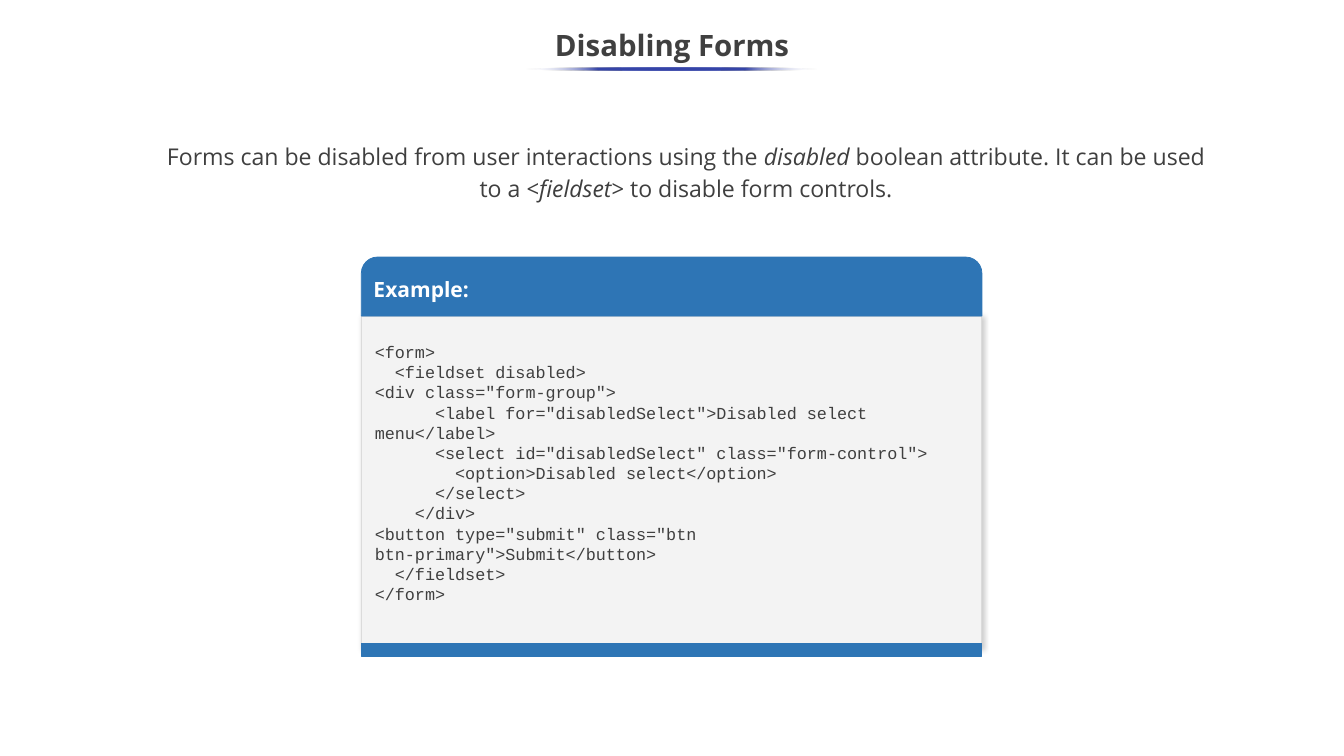
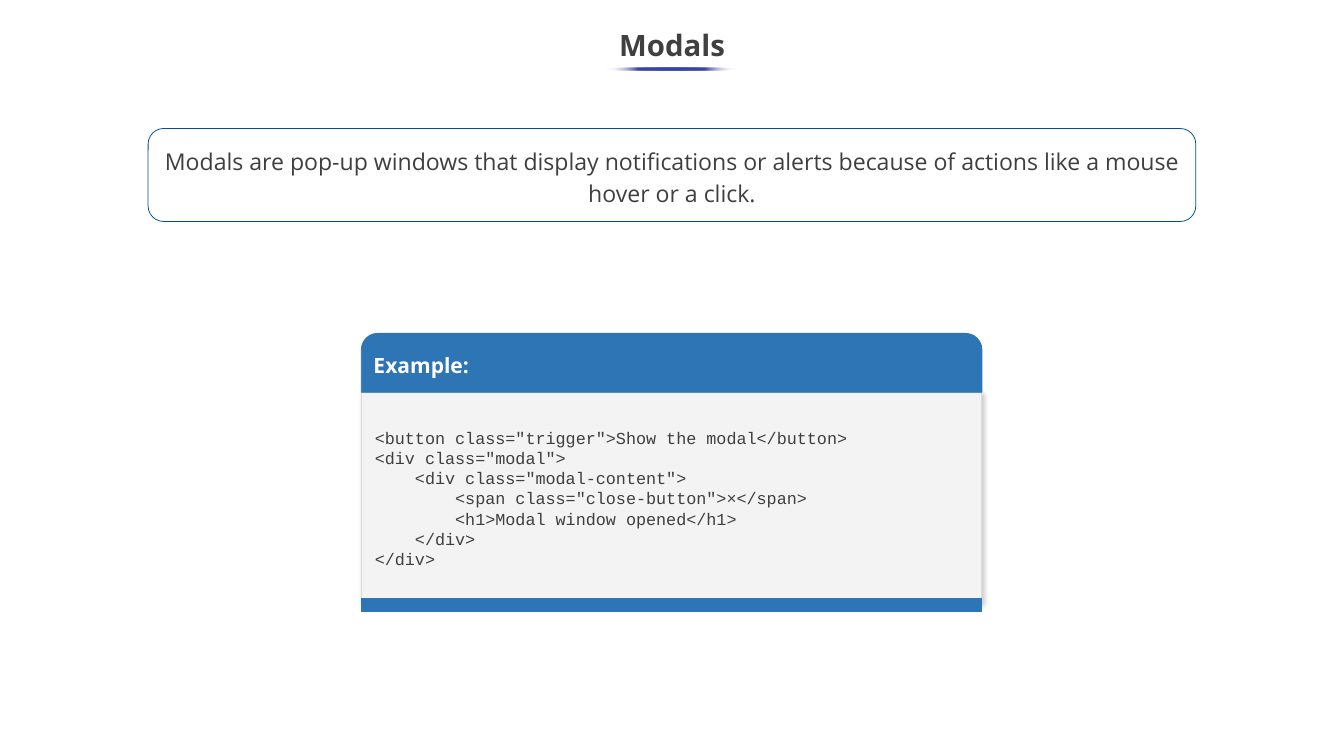
import pptx
import pptx.util
import pptx.dml.color
import pptx.enum.shapes
import pptx.enum.text
import pptx.oxml
import pptx.oxml.ns

RGBColor = pptx.dml.color.RGBColor
MSO_SHAPE = pptx.enum.shapes.MSO_SHAPE
PP_ALIGN = pptx.enum.text.PP_ALIGN
ANCHOR = pptx.enum.text.MSO_ANCHOR

PX = 9144  # 100 px to the inch
SLIDE_W, SLIDE_H = 1778, 1000
PANEL_X, PANEL_W, HEADER_H, FOOTER_H = 478, 821, 78, 17

TITLE_GRAY = RGBColor(0x40, 0x40, 0x40)
TEXT_GRAY = RGBColor(0x3F, 0x3F, 0x3F)
WHITE = RGBColor(0xFF, 0xFF, 0xFF)
BLUE = RGBColor(0x2E, 0x75, 0xB5)
OUTLINE_BLUE = RGBColor(0x02, 0x4F, 0x93)
RULE_BLUE = RGBColor(0x36, 0x45, 0xA9)
CODE_FILL = RGBColor(0xF3, 0xF3, 0xF3)
CODE_LINE = RGBColor(0xDB, 0xDB, 0xDB)
SANS, MONO = "Open Sans", "Courier New"

FORM_CODE = """<form>
  <fieldset disabled>
<div class="form-group">
      <label for="disabledSelect">Disabled select menu</label>
      <select id="disabledSelect" class="form-control">
        <option>Disabled select</option>
      </select>
    </div>
<button type="submit" class="btn btn-primary">Submit</button>
  </fieldset>
</form>"""

MODAL_CODE = """<button class="trigger">Show the modal</button>
<div class="modal">
    <div class="modal-content">
        <span class="close-button">×</span>
        <h1>Modal window opened</h1>
    </div>
</div>"""

# Runs are (text, italic); boxes are left, top, width, height in px
SLIDES = [
    dict(title="Disabling Forms", rule_w=387, outlined=False,
         intro_box=(200, 178, 1415, 95),
         intro=[("Forms can be disabled from user interactions using the ", False),
                ("disabled", True),
                (" boolean attribute. It can be used to a ", False),
                ("<fieldset>", True),
                (" to disable form controls.", False)],
         code=FORM_CODE, code_y=418, code_h=440, code_bottom=35),
    dict(title="Modals", rule_w=175, outlined=True,
         intro_box=(196, 170, 1386, 123),
         intro=[("Modals are pop-up windows that display notifications or alerts "
                 "because of actions like a mouse hover or a click.", False)],
         code=MODAL_CODE, code_y=519, code_h=280, code_bottom=10),
]


def add_box(shapes, kind, box, fill=None, line=None):
    sp = shapes.add_shape(kind, *(v * PX for v in box))
    sp.shadow.inherit = False
    if fill is None:
        sp.fill.background()
    else:
        sp.fill.solid()
        sp.fill.fore_color.rgb = fill
    if line is None:
        sp.line.fill.background()
    else:
        sp.line.color.rgb = line
        sp.line.width = pptx.util.Pt(0.75)
    return sp


def write(tf, paragraphs, font, size, color, bold=False, align=PP_ALIGN.LEFT,
          spacing=1.0, anchor=ANCHOR.MIDDLE, inset=5, bottom=None):
    tf.word_wrap = True
    tf.auto_size = pptx.enum.text.MSO_AUTO_SIZE.NONE
    tf.vertical_anchor = anchor
    tf.margin_left = tf.margin_right = 10 * PX
    tf.margin_top = inset * PX
    tf.margin_bottom = (inset if bottom is None else bottom) * PX
    for i, runs in enumerate(paragraphs):
        p = tf.add_paragraph() if i else tf.paragraphs[0]
        p.alignment = align
        p.line_spacing = spacing
        for text, italic in runs:
            r = p.add_run()
            r.text = text
            r.font.name = font
            r.font.size = pptx.util.Pt(size)
            r.font.bold = bold
            r.font.italic = italic
            r.font.color.rgb = color


prs = pptx.Presentation()
prs.slide_width = SLIDE_W * PX
prs.slide_height = SLIDE_H * PX
nsdecls, qn = pptx.oxml.ns.nsdecls, pptx.oxml.ns.qn

for page in SLIDES:
    s = prs.slides.add_slide(prs.slide_layouts[5])

    # Title
    title = s.shapes.title
    title.left, title.top, title.width, title.height = (v * PX for v in (-1, 25, 1780, 75))
    write(title.text_frame, [[(page["title"], False)]], SANS, 28, TITLE_GRAY,
          bold=True, align=PP_ALIGN.CENTER, spacing=0.9)

    # Introduction
    if page["outlined"]:
        sp = add_box(s.shapes, MSO_SHAPE.ROUNDED_RECTANGLE, page["intro_box"],
                     line=OUTLINE_BLUE)
        anchor, inset = ANCHOR.MIDDLE, 10
    else:
        sp = s.shapes.add_textbox(*(v * PX for v in page["intro_box"]))
        anchor, inset = ANCHOR.TOP, 5
    write(sp.text_frame, [page["intro"]], SANS, 22, TEXT_GRAY, align=PP_ALIGN.CENTER,
          spacing=1.15, anchor=anchor, inset=inset)

    # Code panel: body with soft shadow, header, footer band
    panel = s.shapes.add_group_shape().shapes
    y, h = page["code_y"], page["code_h"]
    body = add_box(panel, MSO_SHAPE.RECTANGLE, (PANEL_X, y, PANEL_W, h), CODE_FILL, CODE_LINE)
    body._element.spPr.find(qn("a:effectLst")).append(pptx.oxml.parse_xml(
        f'<a:outerShdw {nsdecls("a")} blurRad="57150" dist="19050" dir="2820000">'
        '<a:srgbClr val="000000"><a:alpha val="20000"/></a:srgbClr></a:outerShdw>'))
    write(body.text_frame, [[(line, False)] for line in page["code"].split("\n")],
          MONO, 16, TEXT_GRAY, inset=10, bottom=page["code_bottom"])
    for p in body.text_frame.paragraphs:
        p._p.get_or_add_pPr().set("marL", str(8 * PX))

    header = add_box(panel, MSO_SHAPE.ROUND_2_SAME_RECTANGLE,
                     (PANEL_X, y - HEADER_H, PANEL_W, HEADER_H), BLUE, BLUE)
    header.adjustments[0] = 0.275
    write(header.text_frame, [[("Example:", False)]], SANS, 20, WHITE, bold=True)
    add_box(panel, MSO_SHAPE.RECTANGLE, (PANEL_X, y + h - 7, PANEL_W, FOOTER_H), BLUE, BLUE)

    # Title rule, fading out at both ends
    w = page["rule_w"]
    rule = add_box(s.shapes, MSO_SHAPE.OVAL, ((SLIDE_W - w) // 2, 89, w, 4), RULE_BLUE)
    rule.fill.gradient()
    stops = rule._element.spPr.find(qn("a:gradFill")).find(qn("a:gsLst"))
    for stop in list(stops):
        stops.remove(stop)
    for pos in range(0, 101, 25):
        color, alpha = (WHITE, 0) if pos in (0, 100) else (RULE_BLUE, 100)
        stops.append(pptx.oxml.parse_xml(
            f'<a:gs {nsdecls("a")} pos="{pos * 1000}"><a:srgbClr val="{color}">'
            f'<a:alpha val="{alpha * 1000}"/></a:srgbClr></a:gs>'))
    rule.fill.gradient_angle = 180

prs.save("out.pptx")
